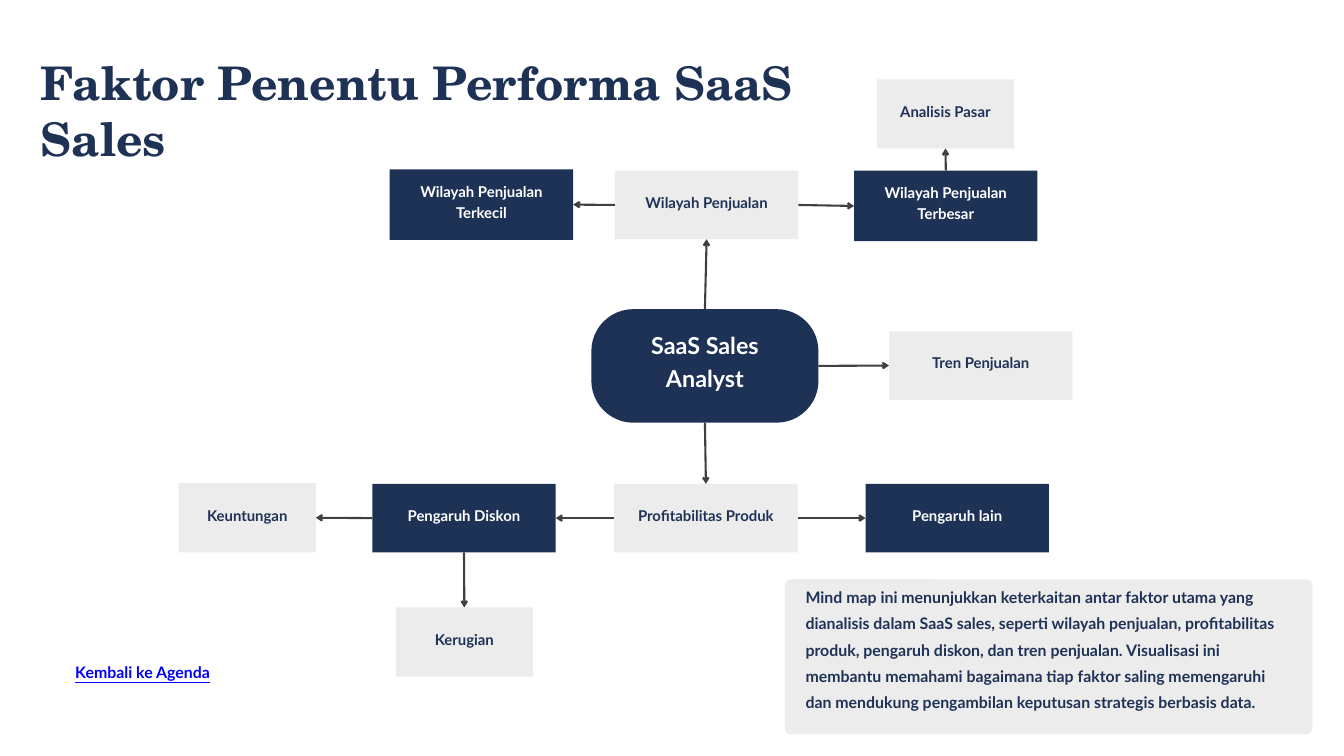
import pptx
import pptx.dml.color
import pptx.enum.shapes
import pptx.enum.text
import pptx.oxml
import pptx.oxml.ns
import pptx.util
from pptx.util import Inches

RGBColor = pptx.dml.color.RGBColor
SHAPE = pptx.enum.shapes.MSO_SHAPE
ANCHOR = pptx.enum.text.MSO_ANCHOR
ALIGN = pptx.enum.text.PP_ALIGN
AUTO_SIZE = pptx.enum.text.MSO_AUTO_SIZE
Pt = pptx.util.Pt

NAVY = RGBColor(0x1E, 0x32, 0x56)
GRAY = RGBColor(0xED, 0xEC, 0xED)
WHITE = RGBColor(0xFF, 0xFF, 0xFF)
LINE = RGBColor(0x40, 0x40, 0x40)
LINK = RGBColor(0x00, 0x00, 0xFF)

TOP, LEFT, BOTTOM, RIGHT = range(4)  # connection sites of a rectangle
OPPOSITE = {TOP: BOTTOM, BOTTOM: TOP, LEFT: RIGHT, RIGHT: LEFT}

WIDE, NARROW = 2.73, 2.04
NOTE = (
    "Mind map ini menunjukkan keterkaitan antar faktor utama yang dianalisis "
    "dalam SaaS sales, seperti wilayah penjualan, profitabilitas produk, "
    "pengaruh diskon, dan tren penjualan. Visualisasi ini membantu memahami "
    "bagaimana tiap faktor saling memengaruhi dan mendukung pengambilan "
    "keputusan strategis berbasis data."
)

# name: (label, left, top, width, height, fill)
BOXES = {
    "region": ("Wilayah Penjualan", 9.15, 2.54, WIDE, 1.02, GRAY),
    "smallest": ("Wilayah Penjualan Terkecil", 5.8, 2.52, WIDE, 1.05, NAVY),
    "largest": ("Wilayah Penjualan Terbesar", 12.71, 2.54, WIDE, 1.05, NAVY),
    "market": ("Analisis Pasar", 13.05, 1.18, NARROW, 1.03, GRAY),
    "trend": ("Tren Penjualan", 13.23, 4.93, WIDE, 1.02, GRAY),
    "product": ("Profitabilitas Produk", 9.14, 7.2, WIDE, 1.02, GRAY),
    "discount": ("Pengaruh Diskon", 5.54, 7.2, WIDE, 1.02, NAVY),
    "other": ("Pengaruh lain", 12.88, 7.2, WIDE, 1.02, NAVY),
    "profit": ("Keuntungan", 2.66, 7.19, NARROW, 1.03, GRAY),
    "loss": ("Kerugian", 5.89, 9.04, NARROW, 1.03, GRAY),
}

ARROWS = [
    ("hub", RIGHT, "trend"),
    ("hub", TOP, "region"),
    ("hub", BOTTOM, "product"),
    ("region", RIGHT, "largest"),
    ("region", LEFT, "smallest"),
    ("largest", TOP, "market"),
    ("product", LEFT, "discount"),
    ("product", RIGHT, "other"),
    ("discount", BOTTOM, "loss"),
    ("discount", LEFT, "profit"),
]


class MindMap:
    """Holds the text style and the slide being drawn."""

    font = {"name": "Lato", "bold": True}

    def __init__(self, slide):
        self.slide = slide

    def fill_text(self, sp, lines, color, spacing, align=ALIGN.LEFT,
                  anchor=ANCHOR.TOP, insets=(0, 0, 0, 0), **font):
        tf = sp.text_frame
        tf.text = "\n".join(lines)
        frame = {"word_wrap": True, "auto_size": AUTO_SIZE.NONE,
                 "vertical_anchor": anchor}
        sides = ("left", "top", "right", "bottom")
        frame.update({f"margin_{side}": Inches(inset)
                      for side, inset in zip(sides, insets)})
        for key, value in frame.items():
            setattr(tf, key, value)
        for p in tf.paragraphs:
            p.alignment = align
            p.line_spacing = Pt(spacing)
            p.space_before = Pt(0)
            for r in p.runs:
                for key, value in {**self.font, **font}.items():
                    setattr(r.font, key, value)
                r.font.color.rgb = color

    def title(self, text, *box):
        sp = self.slide.shapes.title
        for key, value in zip(("left", "top", "width", "height"), box):
            setattr(sp, key, Inches(value))
        self.fill_text(sp, [text], NAVY, 59.5, name="TeX Gyre Schola",
                       size=Pt(49.6))

    def text(self, text, *box, **style):
        sp = self.slide.shapes.add_textbox(*map(Inches, box))
        self.fill_text(sp, [text], **style)

    def box(self, lines, *box, fill, radius=0, **style):
        kind = SHAPE.ROUNDED_RECTANGLE if radius else SHAPE.RECTANGLE
        sp = self.slide.shapes.add_shape(kind, *map(Inches, box))
        if radius:
            sp.adjustments[0] = radius
        sp.shadow.inherit = False
        sp.fill.solid()
        sp.fill.fore_color.rgb = fill
        sp.line.fill.background()
        color = WHITE if fill == NAVY else NAVY
        self.fill_text(sp, lines, color, anchor=ANCHOR.MIDDLE, **style)
        return sp

    def arrow(self, start, side, end):
        """Join one side of a box to the facing side of another."""
        line = self.slide.shapes.add_connector(
            pptx.enum.shapes.MSO_CONNECTOR.STRAIGHT, 0, 0, 0, 0)
        line.begin_connect(start, side)
        line.end_connect(end, OPPOSITE[side])
        line.line.color.rgb = LINE
        line.line.width = Pt(2.25)
        qn = pptx.oxml.ns.qn
        ln = line.element.find(".//" + qn("a:ln"))
        ln.append(ln.makeelement(qn("a:tailEnd"), {"type": "arrow"}))
        sp_pr = ln.getparent()
        sp_pr.append(sp_pr.makeelement(qn("a:effectLst"), {}))


def main():
    prs = pptx.Presentation()
    prs.slide_width, prs.slide_height = Inches(20), Inches(11.25)
    page = MindMap(prs.slides.add_slide(prs.slide_layouts[5]))

    page.title("Faktor Penentu Performa SaaS Sales", 0.61, 0.81, 11.91, 1.65)

    nodes = {"hub": page.box(
        ["SaaS Sales", "Analyst"], 8.8, 4.6, 3.38, 1.69, fill=NAVY, radius=0.37,
        spacing=35, align=ALIGN.CENTER, insets=(0.28, 0.08, 0.28, 0.28),
        size=Pt(25))}
    for name, (label, *box, fill) in BOXES.items():
        nodes[name] = page.box(
            [label], *box, fill=fill, spacing=22.4, align=ALIGN.CENTER,
            insets=(0.28, 0.16, 0.28, 0.28), size=Pt(16))
    for start, side, end in ARROWS:
        page.arrow(nodes[start], side, nodes[end])

    page.box([NOTE], 11.68, 8.62, 7.85, 2.31, fill=GRAY, radius=0.04,
             spacing=28, insets=(0.28, 0, 0.28, 0.32), size=Pt(17))
    page.text("Kembali ke Agenda", 1.12, 9.83, 2.54, 0.3, color=LINK,
              spacing=22.1, size=Pt(17), underline=True)

    prs.save("out.pptx")


if __name__ == "__main__":
    main()
